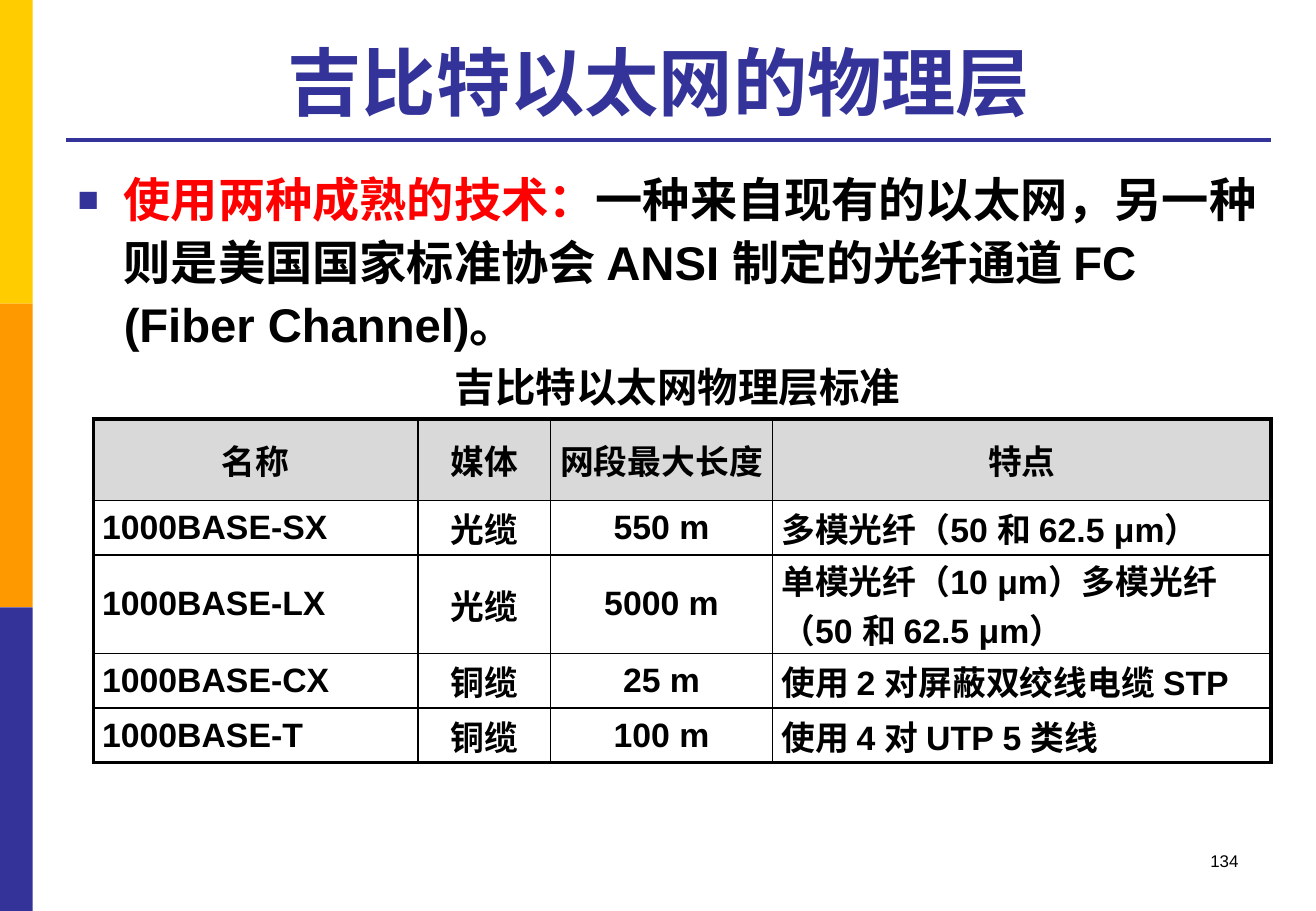
from typing import NamedTuple

from lxml.etree import SubElement
from pptx import Presentation
from pptx.dml.color import RGBColor
from pptx.enum.lang import MSO_LANGUAGE_ID as Language
from pptx.enum.shapes import MSO_CONNECTOR as Connector, MSO_SHAPE as Preset
from pptx.enum.text import MSO_ANCHOR as Anchor, PP_ALIGN as Align
from pptx.oxml.ns import qn
from pptx.slide import Slide
from pptx.table import _Cell as Cell
from pptx.text.text import TextFrame, _Paragraph as Paragraph
from pptx.util import Inches, Pt

FONT = "Arial"
BLACK = RGBColor(0x00, 0x00, 0x00)
RED = RGBColor(0xFF, 0x00, 0x00)
YELLOW = RGBColor(0xFF, 0xCC, 0x00)
ORANGE = RGBColor(0xFF, 0x99, 0x00)
INDIGO = RGBColor(0x33, 0x33, 0x99)
GREY = RGBColor(0xD9, 0xD9, 0xD9)

OUTER_BORDER = 2.25
INNER_BORDER = 1
BAND_HEIGHT = 2.5
COLUMN_WIDTHS = (2.67, 1.09, 1.83, 4.1)
COLUMN_ALIGNS = (Align.JUSTIFY, Align.CENTER, Align.CENTER, Align.LEFT)
ROW_HEIGHTS = (0.67, 0.45, 0.81, 0.45, 0.45)


class Box(NamedTuple):
    """Position and size in inches."""
    left: float
    top: float
    width: float
    height: float

    def lengths(self) -> list[Inches]:
        """Return the four values as lengths."""
        return [Inches(value) for value in self]


class Standard(NamedTuple):
    """One row of the physical layer table."""
    name: str
    medium: str
    segment: str
    feature: str


HEADER = Standard("名称", "媒体", "网段最大长度", "特点")
STANDARDS = (
    Standard("1000BASE-SX", "光缆", "550 m", "多模光纤（50 和 62.5 μm）"),
    Standard("1000BASE-LX", "光缆", "5000 m", "单模光纤（10 μm）多模光纤（50 和 62.5 μm）"),
    Standard("1000BASE-CX", "铜缆", "25 m", "使用 2 对屏蔽双绞线电缆 STP"),
    Standard("1000BASE-T", "铜缆", "100 m", "使用 4 对 UTP 5 类线"),
)


def write(paragraph: Paragraph, text: str, *, size: float, color: RGBColor = BLACK,
          bold: bool = True, align: Align = Align.LEFT) -> None:
    """Append a formatted run to a paragraph."""
    paragraph.alignment = align
    run = paragraph.add_run()
    run.text = text
    font = run.font
    font.name, font.size, font.bold = FONT, Pt(size), bold
    font.color.rgb = color
    font.language_id = Language.SIMPLIFIED_CHINESE


def add_text_frame(slide: Slide, box: Box, anchor: Anchor = Anchor.TOP) -> TextFrame:
    """Add a wrapping text box and return its frame."""
    frame = slide.shapes.add_textbox(*box.lengths()).text_frame
    frame.word_wrap = True
    frame.vertical_anchor = anchor
    return frame


def add_band(slide: Slide, box: Box, color: RGBColor) -> None:
    """Add a plain filled rectangle."""
    shape = slide.shapes.add_shape(Preset.RECTANGLE, *box.lengths())
    shape.shadow.inherit = False
    shape.fill.solid()
    shape.fill.fore_color.rgb = color
    shape.line.fill.background()


def add_rule(slide: Slide, left: float, right: float, top: float) -> None:
    """Add the horizontal line under the title."""
    line = slide.shapes.add_connector(
        Connector.STRAIGHT, Inches(left), Inches(top), Inches(right), Inches(top))
    line.line.color.rgb = INDIGO
    line.line.width = Pt(2.25)
    SubElement(line._element.spPr, qn("a:effectLst"))


def add_bullet(paragraph: Paragraph, indent: float) -> None:
    """Give a paragraph a square bullet with a hanging indent."""
    properties = paragraph._p.get_or_add_pPr()
    properties.set("marL", str(Inches(indent)))
    properties.set("indent", str(-Inches(indent)))
    color = SubElement(properties, qn("a:buClr"))
    SubElement(color, qn("a:srgbClr"), val=str(INDIGO))
    SubElement(properties, qn("a:buSzPct"), val="75000")
    SubElement(properties, qn("a:buFont"), typeface=FONT)
    SubElement(properties, qn("a:buChar"), char="■")


def set_borders(cell: Cell, **widths: float) -> None:
    """Draw black cell borders, given by side in points."""
    properties = cell._tc.get_or_add_tcPr()
    for side, width in widths.items():
        line = SubElement(properties, qn(f"a:ln{side}"), w=str(Pt(width)))
        fill = SubElement(line, qn("a:solidFill"))
        SubElement(fill, qn("a:srgbClr"), val=str(BLACK))


def add_standards_table(slide: Slide, box: Box) -> None:
    """Add the table of physical layer standards."""
    rows = (HEADER, *STANDARDS)
    last_row, last_column = len(rows) - 1, len(COLUMN_WIDTHS) - 1
    table = slide.shapes.add_table(len(rows), len(COLUMN_WIDTHS), *box.lengths()).table
    table.horz_banding = False
    for column, width in zip(table.columns, COLUMN_WIDTHS):
        column.width = Inches(width)
    for row, height in zip(table.rows, ROW_HEIGHTS):
        row.height = Inches(height)

    def border(is_edge: bool) -> float:
        """Choose the border width."""
        return OUTER_BORDER if is_edge else INNER_BORDER

    for row_index, standard in enumerate(rows):
        is_header = row_index == 0
        for column_index, text in enumerate(standard):
            cell = table.cell(row_index, column_index)
            set_borders(cell, L=border(column_index == 0), R=border(column_index == last_column),
                        T=border(is_header), B=border(row_index == last_row))
            if is_header:
                cell.fill.solid()
                cell.fill.fore_color.rgb = GREY
            else:
                cell.fill.background()
            cell.vertical_anchor = Anchor.MIDDLE
            cell.margin_left = cell.margin_right = Inches(0.07)
            cell.margin_top = cell.margin_bottom = Inches(0)
            write(cell.text_frame.paragraphs[0], text, size=20,
                  align=Align.CENTER if is_header else COLUMN_ALIGNS[column_index])


def build_slide(slide: Slide) -> None:
    """Place everything on the slide."""
    for index, color in enumerate((YELLOW, ORANGE, INDIGO)):
        add_band(slide, Box(0, index * BAND_HEIGHT, 0.27, BAND_HEIGHT), color)
    add_rule(slide, 0.54, 10.46, 1.15)

    title = add_text_frame(slide, Box(0.54, 0.21, 9.91, 0.87), Anchor.BOTTOM)
    write(title.paragraphs[0], "吉比特以太网的物理层 ", size=44, color=INDIGO, align=Align.CENTER)

    body = add_text_frame(slide, Box(0.54, 1.31, 9.91, 5.4)).paragraphs[0]
    body.line_spacing = 1.1
    body.space_before = Pt(6)
    add_bullet(body, 0.38)
    write(body, "使用两种成熟的技术：", size=28, color=RED)
    write(body, "一种来自现有的以太网，另一种则是美国国家标准协会 ANSI 制定的光纤通道 FC "
                "(Fiber Channel)。", size=28)

    add_standards_table(slide, Box(0.77, 3.45, sum(COLUMN_WIDTHS), sum(ROW_HEIGHTS)))

    caption = add_text_frame(slide, Box(2.82, 2.93, 5.51, 0.5), Anchor.MIDDLE)
    write(caption.paragraphs[0], "吉比特以太网物理层标准", size=24, align=Align.CENTER)

    number = add_text_frame(slide, Box(7.76, 6.95, 2.53, 0.5))
    write(number.paragraphs[0], "134", size=10, bold=False, align=Align.RIGHT)


presentation = Presentation()
presentation.slide_width = Inches(10.83)
presentation.slide_height = Inches(7.5)
build_slide(presentation.slides.add_slide(presentation.slide_layouts[6]))
presentation.save("out.pptx")
